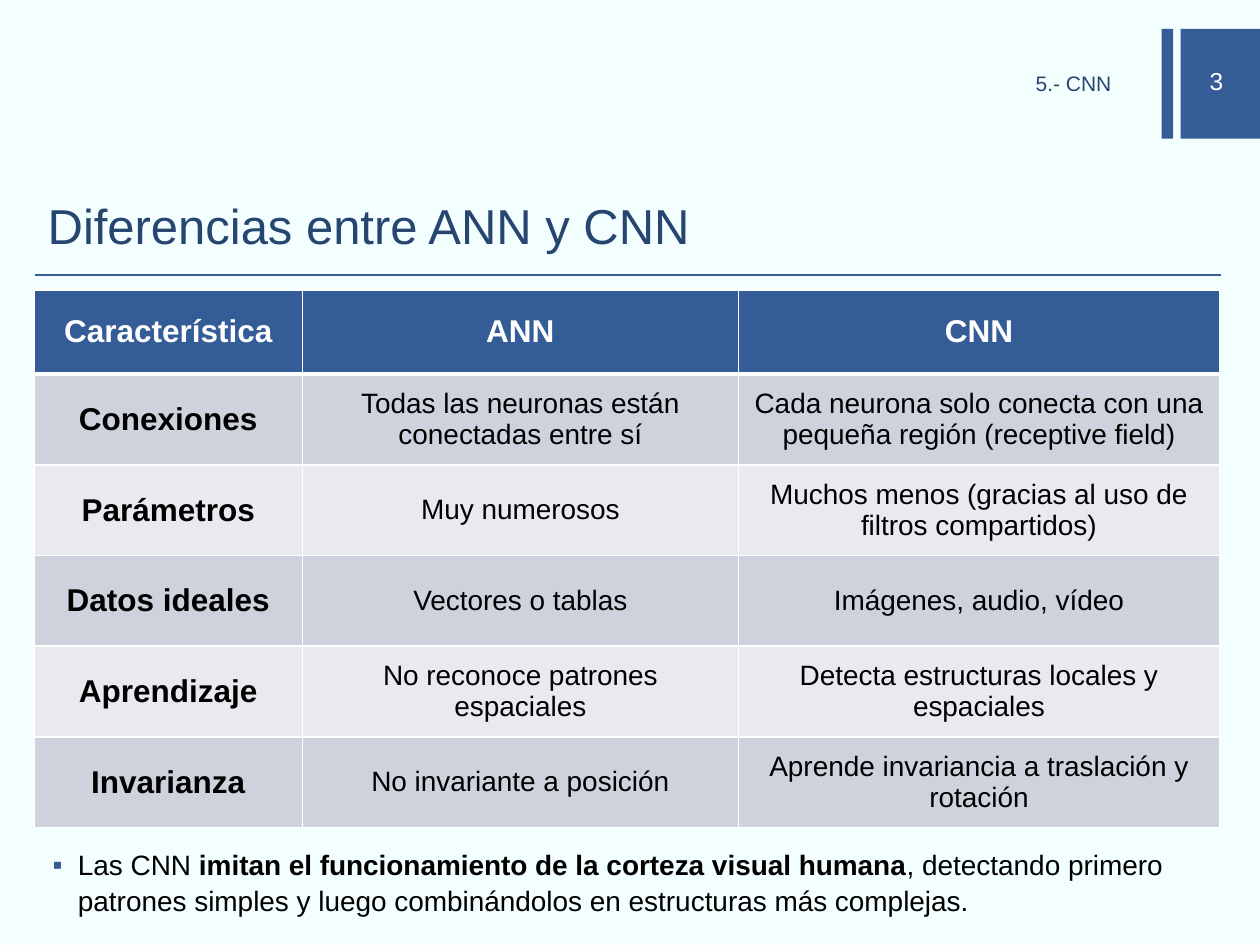
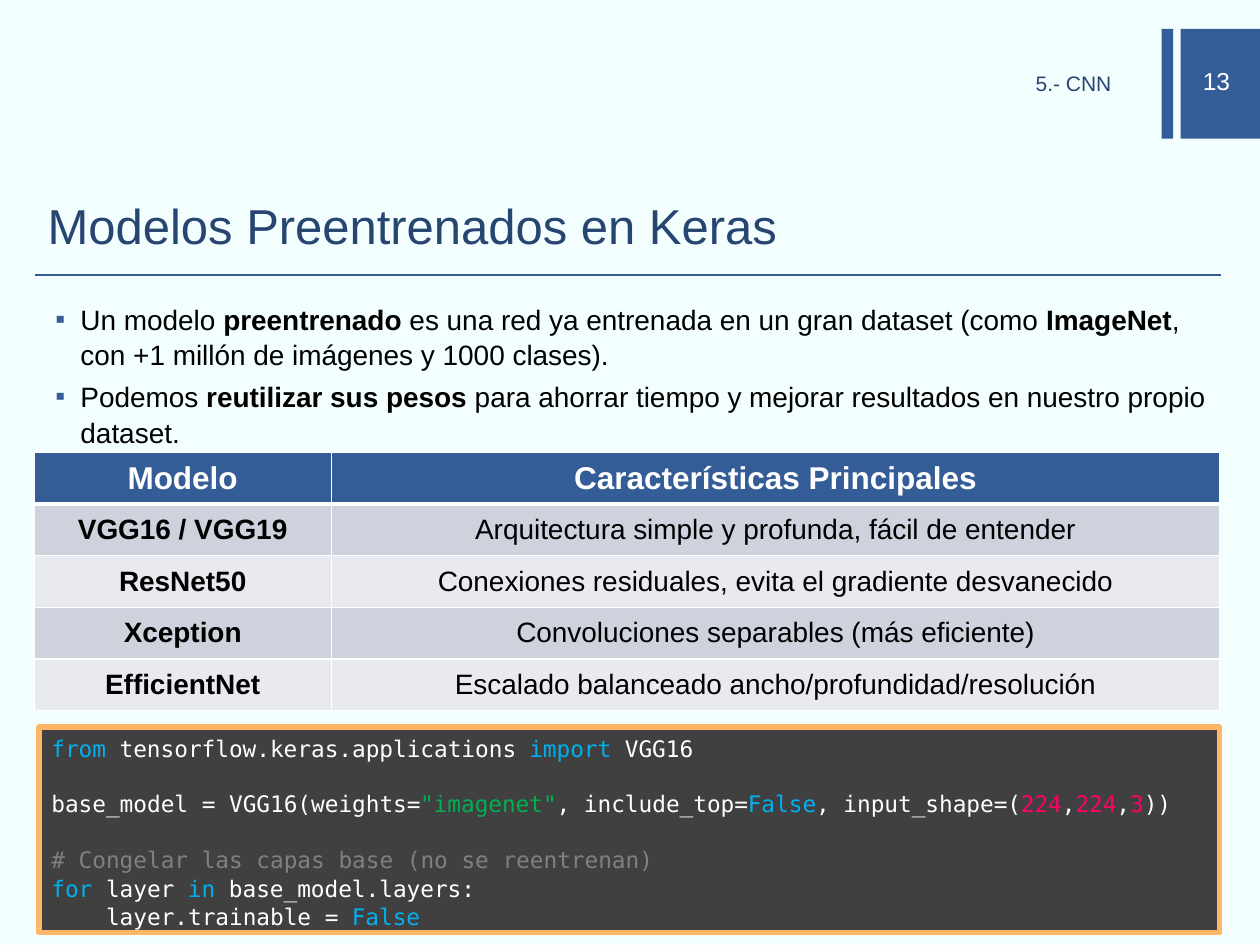
from dataclasses import dataclass

import pptx
import pptx.dml.color
import pptx.enum.shapes
import pptx.enum.text
import pptx.oxml
import pptx.oxml.ns
import pptx.util
from lxml import etree

Inches = pptx.util.Inches
Pt = pptx.util.Pt
RGBColor = pptx.dml.color.RGBColor
Align = pptx.enum.text.PP_ALIGN
Anchor = pptx.enum.text.MSO_ANCHOR
qn = pptx.oxml.ns.qn

BACKGROUND = RGBColor(0xF3, 0xFE, 0xFE)
BLUE = RGBColor(0x34, 0x5C, 0x97)
NAVY = RGBColor(0x27, 0x45, 0x71)
WHITE = RGBColor(0xFF, 0xFF, 0xFF)
BLACK = RGBColor(0x00, 0x00, 0x00)
ROW_DARK = RGBColor(0xCE, 0xD2, 0xDD)
ROW_LIGHT = RGBColor(0xE8, 0xEA, 0xEF)
CODE_FILL = RGBColor(0x40, 0x40, 0x40)
CODE_BORDER = RGBColor(0xFF, 0xB6, 0x66)
KEYWORD = RGBColor(0x00, 0xB0, 0xF0)
STRING = RGBColor(0x00, 0xB0, 0x50)
NUMBER = RGBColor(0xFF, 0x00, 0x66)
COMMENT = RGBColor(0x80, 0x80, 0x80)

SANS = "Arial"
MONO = "DejaVu Sans Mono"
CODE_SIZE = 13
CODE_LINE_GAP = 15.7


@dataclass(frozen=True)
class Area:
    left: float
    top: float
    width: float
    height: float

    def lengths(self) -> tuple:
        return tuple(Inches(v) for v in (self.left, self.top, self.width, self.height))


@dataclass(frozen=True)
class Span:
    text: str
    color: RGBColor = BLACK
    bold: bool = False


@dataclass(frozen=True)
class CodeLine:
    spans: tuple[Span, ...]
    gap_before: float = 0


@dataclass(frozen=True)
class Grid:
    left: float
    top: float
    columns: tuple[float, ...]
    header_height: float
    row_height: float
    label_size: int
    rows: tuple[tuple[str, ...], ...]


BANDS = (Area(9.22, 0.23, 0.09, 0.87), Area(9.37, 0.23, 0.63, 0.87))
NUMBER_AREA = Area(9.33, 0.44, 0.65, 0.4)
SECTION_AREA = Area(4.98, 0.52, 3.94, 0.33)
TITLE_AREA = Area(0.28, 1.39, 9.41, 0.79)

DIFFERENCES = Grid(0.27, 2.3, (2.13, 3.46, 3.82), 0.67, 0.72, 18, (
    ("Característica", "ANN", "CNN"),
    ("Conexiones", "Todas las neuronas están conectadas entre sí",
     "Cada neurona solo conecta con una pequeña región (receptive field)"),
    ("Parámetros", "Muy numerosos",
     "Muchos menos (gracias al uso de filtros compartidos)"),
    ("Datos ideales", "Vectores o tablas", "Imágenes, audio, vídeo"),
    ("Aprendizaje", "No reconoce patrones espaciales",
     "Detecta estructuras locales y espaciales"),
    ("Invarianza", "No invariante a posición",
     "Aprende invariancia a traslación y rotación"),
))

MODELS = Grid(0.27, 3.59, (2.36, 7.05), 0.41, 0.41, 16, (
    ("Modelo", "Características Principales"),
    ("VGG16 / VGG19", "Arquitectura simple y profunda, fácil de entender"),
    ("ResNet50", "Conexiones residuales, evita el gradiente desvanecido"),
    ("Xception", "Convoluciones separables (más eficiente)"),
    ("EfficientNet", "Escalado balanceado ancho/profundidad/resolución"),
))

CORTEX_BULLETS = (
    (Span("Las CNN "),
     Span("imitan el funcionamiento de la corteza visual humana", bold=True),
     Span(", detectando primero patrones simples y luego combinándolos "
          "en estructuras más complejas.")),
)

PRETRAINED_BULLETS = (
    (Span("Un modelo "), Span("preentrenado", bold=True),
     Span(" es una red ya entrenada en un gran dataset (como "),
     Span("ImageNet", bold=True),
     Span(", con +1 millón de imágenes y 1000 clases).")),
    (Span("Podemos "), Span("reutilizar sus pesos ", bold=True),
     Span("para ahorrar tiempo y mejorar resultados en nuestro propio dataset.")),
)

FREEZE_CODE = (
    CodeLine((Span("from", KEYWORD), Span(" tensorflow.keras.applications ", WHITE),
              Span("import", KEYWORD), Span(" VGG16", WHITE))),
    CodeLine((Span("base_model = VGG16(weights=", WHITE), Span('"imagenet"', STRING),
              Span(", include_top=", WHITE), Span("False", KEYWORD),
              Span(", input_shape=(", WHITE), Span("224", NUMBER), Span(",", WHITE),
              Span("224", NUMBER), Span(",", WHITE), Span("3", NUMBER),
              Span("))", WHITE)), CODE_LINE_GAP),
    CodeLine((Span("# Congelar las capas base (no se reentrenan)", COMMENT),),
             CODE_LINE_GAP),
    CodeLine((Span("for", KEYWORD), Span(" layer ", WHITE), Span("in", KEYWORD),
              Span(" base_model.layers:", WHITE))),
    CodeLine((Span("    layer.trainable = ", WHITE), Span("False", KEYWORD))),
)


def write_text(para, text: str, *, size: float, color: RGBColor = BLACK,
               font: str = SANS, bold: bool = False) -> None:
    run = para.add_run()
    run.text = text
    run.font.size = Pt(size)
    run.font.name = font
    run.font.bold = bold
    run.font.color.rgb = color


def add_box(page, area: Area, anchor=Anchor.TOP):
    box = page.shapes.add_textbox(*area.lengths())
    box.text_frame.word_wrap = True
    box.text_frame.vertical_anchor = anchor
    return box


def add_label(page, area: Area, text: str, size: float, color: RGBColor,
              align=Align.LEFT):
    box = add_box(page, area, Anchor.MIDDLE)
    para = box.text_frame.paragraphs[0]
    para.alignment = align
    write_text(para, text, size=size, color=color)
    return box


def add_rectangle(page, area: Area, fill: RGBColor):
    box = page.shapes.add_shape(
        pptx.enum.shapes.MSO_SHAPE.RECTANGLE, *area.lengths())
    box.shadow.inherit = False
    box.fill.solid()
    box.fill.fore_color.rgb = fill
    box.line.fill.background()
    return box


def add_page(deck, number: int, title: str):
    page = deck.slides.add_slide(deck.slide_layouts[6])
    page.background.fill.solid()
    page.background.fill.fore_color.rgb = BACKGROUND
    for band in BANDS:
        add_rectangle(page, band, BLUE)
    add_label(page, NUMBER_AREA, str(number), 14, WHITE, Align.CENTER)
    rule = page.shapes.add_connector(
        pptx.enum.shapes.MSO_CONNECTOR.STRAIGHT,
        Inches(0.28), Inches(2.18), Inches(9.69), Inches(2.18))
    rule.line.color.rgb = BLUE
    rule.line.width = Pt(1)
    etree.SubElement(rule.element.spPr, qn("a:effectLst"))
    section = add_label(page, SECTION_AREA, "5.- CNN", 12, NAVY, Align.RIGHT)
    section.text_frame.margin_top = 0
    add_label(page, TITLE_AREA, title, 28, NAVY)
    return page


def set_bullet(para) -> None:
    props = para._p.get_or_add_pPr()
    props.set("marL", str(Inches(0.25)))
    props.set("indent", str(Inches(-0.2)))
    color = etree.SubElement(props, qn("a:buClr"))
    etree.SubElement(color, qn("a:srgbClr"), val=str(BLUE))
    etree.SubElement(props, qn("a:buFont"), typeface=SANS)
    etree.SubElement(props, qn("a:buChar"), char="▪")


def add_bullets(page, area: Area, bullets: tuple[tuple[Span, ...], ...]) -> None:
    frame = add_box(page, area).text_frame
    for index, spans in enumerate(bullets):
        para = frame.add_paragraph() if index else frame.paragraphs[0]
        set_bullet(para)
        para.line_spacing = 1.07
        if index:
            para.space_before = Pt(3.2)
        for span in spans:
            write_text(para, span.text, size=16, color=span.color, bold=span.bold)


def set_borders(cell, top: float, bottom: float) -> None:
    props = cell._tc.get_or_add_tcPr()
    for side, width in (("L", 1), ("R", 1), ("T", top), ("B", bottom)):
        border = etree.SubElement(props, qn(f"a:ln{side}"), w=str(Pt(width)))
        fill = etree.SubElement(border, qn("a:solidFill"))
        etree.SubElement(fill, qn("a:srgbClr"), val=str(WHITE))


def add_grid(page, grid: Grid) -> None:
    body_rows = len(grid.rows) - 1
    area = Area(grid.left, grid.top, sum(grid.columns),
                grid.header_height + body_rows * grid.row_height)
    table = page.shapes.add_table(
        len(grid.rows), len(grid.columns), *area.lengths()).table
    table.first_row = False
    table.horz_banding = False
    for column, width in zip(table.columns, grid.columns):
        column.width = Inches(width)
    for r, texts in enumerate(grid.rows):
        header = r == 0
        table.rows[r].height = Inches(grid.header_height if header else grid.row_height)
        fill = BLUE if header else ROW_DARK if r % 2 else ROW_LIGHT
        for c, text in enumerate(texts):
            cell = table.cell(r, c)
            set_borders(cell, 3 if r == 1 else 1, 3 if header else 1)
            cell.fill.solid()
            cell.fill.fore_color.rgb = fill
            cell.vertical_anchor = Anchor.MIDDLE
            para = cell.text_frame.paragraphs[0]
            para.alignment = Align.CENTER
            size = 18 if header else grid.label_size if c == 0 else 16
            write_text(para, text, size=size, color=WHITE if header else BLACK,
                       bold=header or c == 0)


def add_code(page, area: Area, lines: tuple[CodeLine, ...]) -> None:
    box = add_rectangle(page, area, CODE_FILL)
    box.line.color.rgb = CODE_BORDER
    box.line.width = Pt(3)
    frame = box.text_frame
    frame.word_wrap = True
    frame.vertical_anchor = Anchor.TOP
    for index, line in enumerate(lines):
        para = frame.add_paragraph() if index else frame.paragraphs[0]
        para.alignment = Align.LEFT
        para.line_spacing = 1.04
        if line.gap_before:
            para.space_before = Pt(line.gap_before)
        for span in line.spans:
            write_text(para, span.text, size=CODE_SIZE, color=span.color, font=MONO)


def main() -> None:
    deck = pptx.Presentation()
    deck.slide_width = Inches(10)
    deck.slide_height = Inches(7.5)

    page = add_page(deck, 3, "Diferencias entre ANN y CNN")
    add_grid(page, DIFFERENCES)
    add_bullets(page, Area(0.27, 6.66, 9.41, 0.68), CORTEX_BULLETS)

    page = add_page(deck, 13, "Modelos Preentrenados en Keras")
    add_bullets(page, Area(0.29, 2.33, 9.41, 1.22), PRETRAINED_BULLETS)
    add_grid(page, MODELS)
    add_code(page, Area(0.31, 5.77, 9.37, 1.63), FREEZE_CODE)

    deck.save("out.pptx")


if __name__ == "__main__":
    main()
